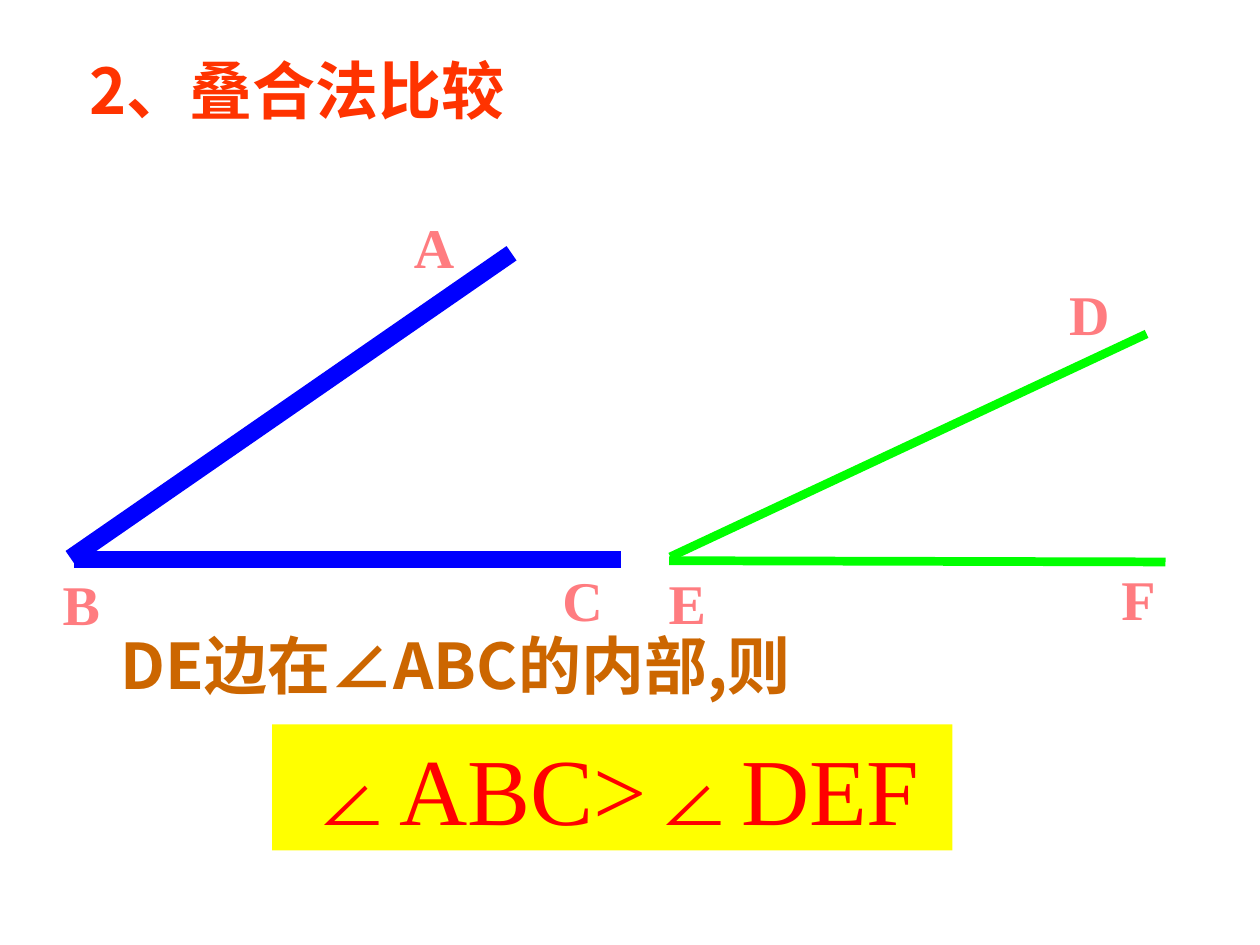
import dataclasses
import typing

import lxml.etree
import pptx
import pptx.dml.color
import pptx.enum.shapes
import pptx.enum.text
import pptx.oxml.ns
import pptx.util

Inches = pptx.util.Inches
Point = tuple[float, float]
Box = tuple[float, float, float, float]


@dataclasses.dataclass(frozen=True)
class TextStyle:
    font: str
    size: float
    color: str
    bold: bool = True
    centered: bool = False


@dataclasses.dataclass(frozen=True)
class Theme:
    heading: TextStyle = TextStyle("Noto Sans CJK JP", 36, "FF3300")
    statement: TextStyle = TextStyle("Noto Sans CJK SC", 36, "CC6600")
    conclusion: TextStyle = TextStyle("Times New Roman", 54, "FF0000", False, True)
    vertex: TextStyle = TextStyle("Times New Roman", 32, "FF7C80", True, True)
    conclusion_fill: str = "FFFF00"
    large_angle: str = "0000FF"
    small_angle: str = "00FF00"


@dataclasses.dataclass(frozen=True)
class Label:
    text: str
    left: float
    top: float
    width: float = 0.75
    height: float = 0.64


@dataclasses.dataclass(frozen=True)
class Angle:
    color: str
    weight: float
    sides: tuple[tuple[Point, Point], ...]
    labels: tuple[Label, ...]


THEME = Theme()
ANGLES = (
    Angle(
        THEME.large_angle,
        10,
        (((0.56, 4.43), (4.06, 2.01)), ((0.59, 4.44), (4.93, 4.44))),
        (Label("B", 0.27, 4.47), Label("A", 3.07, 1.64), Label("C", 4.29, 4.44, 0.67)),
    ),
    Angle(
        THEME.small_angle,
        5,
        (((5.31, 4.45), (9.25, 4.46)), ((5.32, 4.42), (9.1, 2.65))),
        (Label("D", 8.27, 2.17), Label("E", 5.08, 4.46), Label("F", 8.66, 4.43)),
    ),
)


def rgb(color: str) -> pptx.dml.color.RGBColor:
    return pptx.dml.color.RGBColor.from_string(color)


def write_text(shape: typing.Any, text: str, style: TextStyle) -> None:
    text_frame = shape.text_frame
    text_frame.text = text
    text_frame.word_wrap = True
    text_frame.vertical_anchor = pptx.enum.text.MSO_ANCHOR.TOP
    paragraph = text_frame.paragraphs[0]
    alignment = pptx.enum.text.PP_ALIGN
    paragraph.alignment = alignment.CENTER if style.centered else alignment.LEFT
    font = paragraph.runs[0].font
    font.size = pptx.util.Pt(style.size)
    font.bold = style.bold
    font.color.rgb = rgb(style.color)
    font.name = style.font
    properties = paragraph.runs[0]._r.get_or_add_rPr()
    east_asian = lxml.etree.SubElement(properties, pptx.oxml.ns.qn("a:ea"))
    east_asian.set("typeface", style.font)


def add_text(shapes: typing.Any, text: str, box: Box, style: TextStyle) -> None:
    write_text(shapes.add_textbox(*map(Inches, box)), text, style)


def add_side(shapes: typing.Any, start: Point, end: Point, angle: Angle) -> None:
    side = shapes.add_connector(
        pptx.enum.shapes.MSO_CONNECTOR.STRAIGHT, *map(Inches, start + end)
    )
    side.line.color.rgb = rgb(angle.color)
    side.line.width = pptx.util.Pt(angle.weight)
    lxml.etree.SubElement(side._element.spPr, pptx.oxml.ns.qn("a:effectLst"))


def add_angle(slide: typing.Any, angle: Angle) -> None:
    shapes = slide.shapes.add_group_shape().shapes
    for start, end in angle.sides:
        add_side(shapes, start, end, angle)
    for label in angle.labels:
        box = (label.left, label.top, label.width, label.height)
        add_text(shapes, label.text, box, THEME.vertex)


def add_conclusion(slide: typing.Any, text: str, box: Box) -> None:
    shape = slide.shapes.add_shape(
        pptx.enum.shapes.MSO_SHAPE.RECTANGLE, *map(Inches, box)
    )
    shape.shadow.inherit = False
    shape.fill.solid()
    shape.fill.fore_color.rgb = rgb(THEME.conclusion_fill)
    shape.line.fill.background()
    write_text(shape, text, THEME.conclusion)


def main() -> None:
    presentation = pptx.Presentation()
    presentation.slide_width = Inches(10)
    presentation.slide_height = Inches(7.5)
    slide = presentation.slides.add_slide(presentation.slide_layouts[6])
    add_conclusion(slide, "∠ABC>∠DEF", (2.16, 5.75, 5.4, 1))
    for angle in ANGLES:
        add_angle(slide, angle)
    add_text(slide.shapes, "DE边在∠ABC的内部,则", (0.86, 4.92, 5.9, 0.7), THEME.statement)
    add_text(slide.shapes, "2、叠合法比较", (0.61, 0.36, 3.6, 0.7), THEME.heading)
    presentation.save("out.pptx")


if __name__ == "__main__":
    main()
